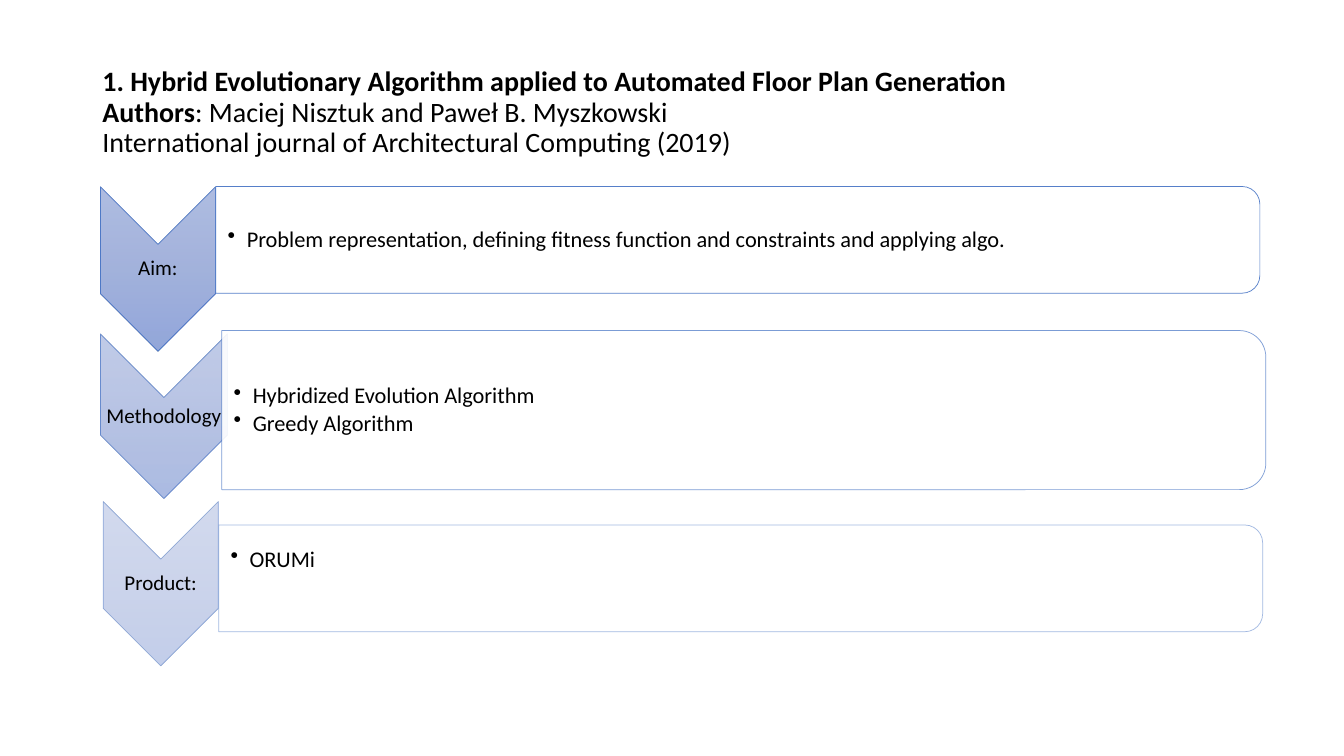
from dataclasses import dataclass

from lxml.etree import SubElement
from pptx import Presentation
from pptx.dml.color import RGBColor
from pptx.enum.shapes import MSO_SHAPE
from pptx.enum.text import MSO_ANCHOR, PP_ALIGN
from pptx.oxml import parse_xml
from pptx.oxml.ns import nsdecls, qn
from pptx.util import Cm, Pt

COLORS = {"text": "000000", "line": "4472C4", "bar": "FFFFFF",
          "light": "A8B7DF", "mid": "9AABD9", "deep": "889ED7"}
TALL = 4.14    # chevron height, cm
WIDE = 26.31   # bar width, cm
HANG = Cm(0.48)

# Format values
FRAME = {"word_wrap": True, "vertical_anchor": MSO_ANCHOR.MIDDLE}
TIGHT = {"margin_left": Cm(0.03), "margin_right": Cm(0.03),
         "margin_top": Cm(0.03), "margin_bottom": Cm(0.03)}
LABEL = {"alignment": PP_ALIGN.CENTER, "line_spacing": 0.9, "space_after": Pt(5)}
POINT = {"level": 1, "line_spacing": 0.9, "space_after": Pt(2.4)}


@dataclass
class Box:
    left: float
    top: float
    width: float
    height: float


@dataclass
class Row:
    label: str
    points: list[str]
    arrow: Box
    bar: Box
    alpha: int
    lift: float = 0.03   # bottom margin of the bar text, cm


ROWS = [
    Row("Aim:",
        ["Problem representation, defining fitness function and constraints "
         "and applying algo."],
        Box(2.53, 4.71, 2.9, TALL), Box(5.44, 4.7, WIDE, 2.69), 90),
    Row("Methodology", ["Hybridized Evolution Algorithm", "Greedy Algorithm"],
        Box(2.53, 8.42, 3.2, TALL), Box(5.59, 8.33, WIDE, 4.01), 70),
    Row("Product:", ["ORUMi"],
        Box(2.6, 12.64, 2.9, TALL), Box(5.51, 13.23, WIDE, 2.69), 50, 0.97),
]

TITLE = [
    [("1. Hybrid Evolutionary Algorithm applied to Automated Floor Plan Generation", True)],
    [("Authors", True), (": Maciej Nisztuk and Paweł B. Myszkowski", False)],
    [("International journal of Architectural Computing (2019)", False)],
]


def apply(item, *styles: dict) -> None:
    for style in styles:
        for name, value in style.items():
            setattr(item, name, value)


def add_run(para, text: str, size: float, bold: bool = False) -> None:
    run = para.add_run()
    run.text = text
    apply(run.font, {"name": "Calibri", "size": Pt(size), "bold": bold})
    run.font.color.rgb = RGBColor.from_string(COLORS["text"])


def add_frame(slide, box: Box, *styles: dict):
    area = slide.shapes.add_textbox(
        Cm(box.left), Cm(box.top), Cm(box.width), Cm(box.height))
    apply(area.text_frame, FRAME, *styles)
    return area.text_frame


def paint(fill, color: str, alpha: int) -> None:
    fill.solid()
    fill.fore_color.rgb = RGBColor.from_string(COLORS[color])


def fade(part, alpha: int) -> None:
    for color in part.iter(qn("a:srgbClr")):
        SubElement(color, qn("a:alpha"), val=str(alpha * 1000))


def add_turned(slide, kind, box: Box, alpha: int):
    """Add a shape turned by 90 degrees that fills the box as seen."""
    left = box.left + (box.width - box.height) / 2
    top = box.top + (box.height - box.width) / 2
    shape = slide.shapes.add_shape(
        kind, Cm(left), Cm(top), Cm(box.height), Cm(box.width))
    shape.rotation = 90
    shape.shadow.inherit = False
    paint(shape.line.fill, "line", alpha)
    shape.line.width = Pt(0.5)
    fade(shape.line._ln, alpha)
    return shape


def add_arrow(slide, row: Row) -> None:
    shape = add_turned(slide, MSO_SHAPE.CHEVRON, row.arrow, row.alpha)
    stops = "".join(
        f'<a:gs pos="{pos}"><a:srgbClr val="{COLORS[name]}"/></a:gs>'
        for pos, name in ((0, "light"), (50000, "mid"), (100000, "deep")))
    grad = parse_xml(
        f'<a:gradFill {nsdecls("a")} rotWithShape="0"><a:gsLst>{stops}</a:gsLst>'
        '<a:lin ang="5400000" scaled="0"/></a:gradFill>')
    fade(grad, row.alpha)
    shape._element.spPr.find(qn("a:prstGeom")).addnext(grad)

    # The label sits between the notch and the tip
    box = row.arrow
    high = box.height - box.width
    area = Box(box.left, box.top + box.width / 2, box.width, high)
    para = add_frame(slide, area, TIGHT).paragraphs[0]
    apply(para, LABEL)
    add_run(para, row.label, 15)


def add_bar(slide, row: Row) -> None:
    shape = add_turned(slide, MSO_SHAPE.ROUND_2_SAME_RECTANGLE, row.bar, row.alpha)
    paint(shape.fill, "bar", 90)
    fade(shape._element.spPr.find(qn("a:solidFill")), 90)

    # The text keeps clear of the round corners
    box = row.bar
    pad = box.height * 0.05
    area = Box(box.left, box.top + pad, box.width - pad, box.height - 2 * pad)
    frame = add_frame(slide, area, TIGHT,
                      {"margin_left": Cm(0.3), "margin_bottom": Cm(row.lift)})
    for index, text in enumerate(row.points):
        para = frame.add_paragraph() if index else frame.paragraphs[0]
        apply(para, POINT)
        props = para._p.get_or_add_pPr()
        props.set("marL", str(HANG))
        props.set("indent", str(-HANG))
        SubElement(props, qn("a:buChar"), char="•")
        add_run(para, text, 16)


def add_title(slide) -> None:
    para = add_frame(slide, Box(2.33, 1.01, 29.21, 3.68)).paragraphs[0]
    para.line_spacing = 0.9
    for index, line in enumerate(TITLE):
        if index:
            para.add_line_break()
        for text, bold in line:
            add_run(para, text, 20, bold)


def main() -> None:
    deck = Presentation()
    apply(deck, {"slide_width": Cm(33.87), "slide_height": Cm(19.05)})
    slide = deck.slides.add_slide(deck.slide_layouts[6])
    add_title(slide)
    for row in ROWS:
        add_arrow(slide, row)
        add_bar(slide, row)
    deck.save("out.pptx")


if __name__ == "__main__":
    main()
